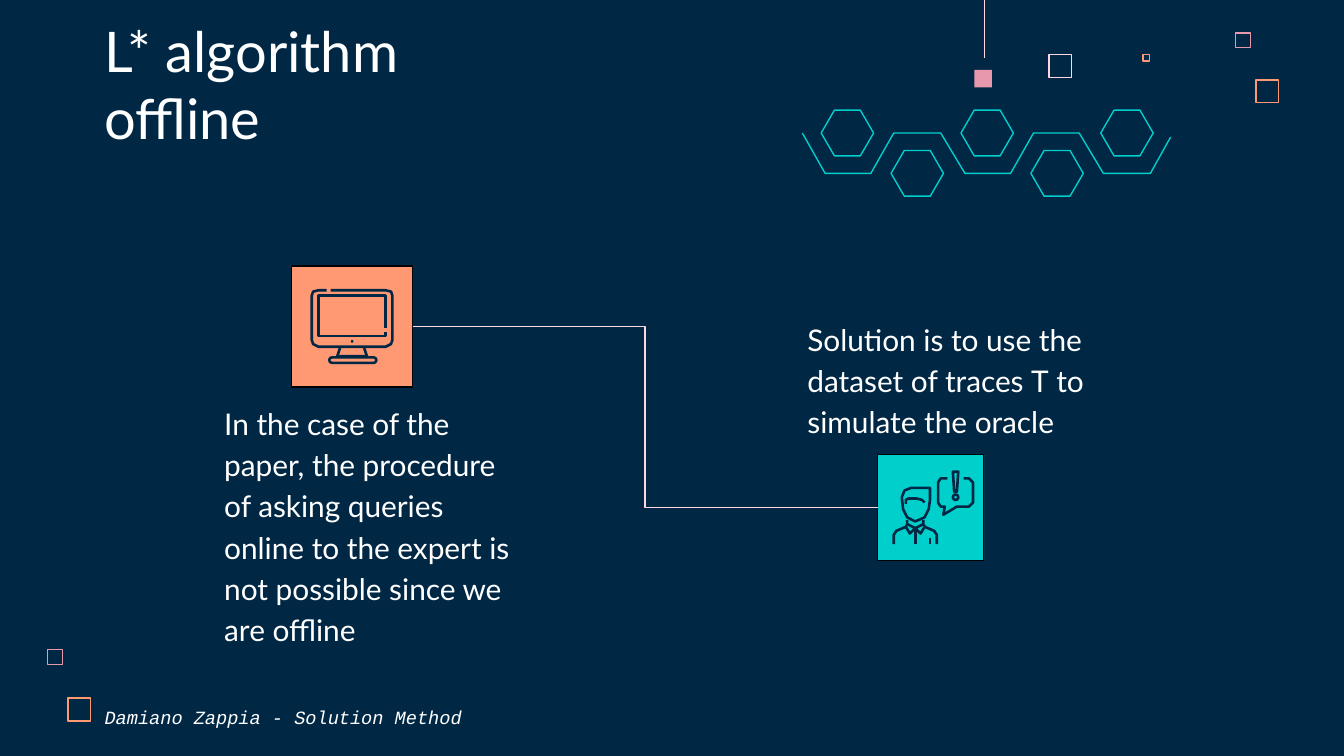
from pptx import Presentation
from pptx.dml.color import RGBColor
from pptx.enum import shapes, text
from pptx.oxml import parse_xml
from pptx.oxml.ns import nsdecls
from pptx.util import Inches, Pt

NAVY = RGBColor(0x00, 0x28, 0x45)
WHITE = RGBColor(0xFF, 0xFF, 0xFF)
BLACK = RGBColor(0x00, 0x00, 0x00)
BLUSH = RGBColor(0xFF, 0xD6, 0xE1)
PINK = RGBColor(0xE8, 0x98, 0xAC)
ORANGE = RGBColor(0xFF, 0x99, 0x73)
TEAL = RGBColor(0x00, 0xCF, 0xCC)
THIN, ICON = 0.75, 1.4  # line widths in points
RECT = shapes.MSO_SHAPE.RECTANGLE
ROUND = shapes.MSO_SHAPE.ROUNDED_RECTANGLE
OVAL = shapes.MSO_SHAPE.OVAL

# Content: words, box, anchor, paragraph format, font
BODY = dict(line_spacing=1.15, space_after=Pt(16))
LATO = dict(name="Lato", size=Pt(16))
TEXTS = [
    ("L* algorithm offline", (0.68, 0.59, 3.58, 0.63), "BOTTOM", {},
     dict(name="Lato", size=Pt(30))),
    ("In the case of the paper, the procedure of asking queries online to "
     "the expert is not possible since we are offline",
     (1.57, 2.88, 2.45, 1.8), "TOP", BODY, LATO),
    ("Solution is to use the dataset of traces Τ to simulate the oracle",
     (5.91, 2.25, 2.47, 1.12), "TOP", BODY, LATO),
    ("Damiano Zappia - Solution Method", (0.68, 5.17, 3.83, 0.25), "TOP", {},
     dict(name="Courier New", size=Pt(10), italic=True)),
]

# Small outlined squares: left, top, side, colour
SQUARES = [
    (7.8, 0.4, 0.18, BLUSH), (9.19, 0.24, 0.12, PINK),
    (8.5, 0.4, 0.06, ORANGE), (9.34, 0.59, 0.18, ORANGE),
    (0.35, 4.83, 0.12, PINK), (0.5, 5.19, 0.18, ORANGE),
]

# Icon strokes: points, closed
MONITOR = [
    ([(2.46, 2.16), (2.87, 2.16), (2.91, 2.17), (2.92, 2.2), (2.92, 2.53),
      (2.91, 2.56), (2.87, 2.58), (2.37, 2.58), (2.33, 2.56), (2.32, 2.53),
      (2.32, 2.2), (2.33, 2.17), (2.37, 2.16), (2.43, 2.16)], False),
    ([(2.87, 2.44), (2.87, 2.2), (2.37, 2.2), (2.37, 2.5), (2.87, 2.5),
      (2.87, 2.47)], False),
    ([(2.53, 2.59), (2.51, 2.65), (2.73, 2.65), (2.71, 2.59)], False),
]
PERSON = [
    ([(6.78, 3.63), (6.92, 3.63), (6.92, 3.72), (6.91, 3.79), (6.88, 3.85),
      (6.81, 3.88), (6.75, 3.85), (6.72, 3.79), (6.71, 3.7), (6.73, 3.65)],
     True),
    ([(6.74, 3.75), (6.74, 3.72), (6.76, 3.71), (6.82, 3.71), (6.86, 3.72),
      (6.88, 3.74)], False),
    ([(7.05, 3.56), (7, 3.56), (6.98, 3.59), (6.98, 3.74), (7, 3.77),
      (7.03, 3.77), (7.02, 3.83), (7.12, 3.77), (7.21, 3.77), (7.24, 3.74),
      (7.24, 3.59), (7.21, 3.56), (7.17, 3.56)], False),
    ([(7.09, 3.51), (7.13, 3.51), (7.12, 3.66), (7.1, 3.66)], True),
]
# Left half of the jacket, mirrored about the zip
ZIP_X = 6.81
JACKET = [
    [(6.65, 4.05), (6.65, 3.98), (6.67, 3.95), (6.74, 3.92)],
    [(6.75, 3.87), (6.75, 3.9), (6.74, 3.92), (6.77, 3.97), (6.81, 3.93),
     (6.75, 3.9)],
]

prs = Presentation()
prs.slide_width = Inches(10)
prs.slide_height = prs.slide_width * 9 // 16
s = prs.slides.add_slide(prs.slide_layouts[6])
s.background.fill.solid()
s.background.fill.fore_color.rgb = NAVY


def paint(sp, fill=None, line=None, width=THIN):
    sp.shadow.inherit = False
    if fill is None:
        sp.fill.background()
    else:
        sp.fill.solid()
        sp.fill.fore_color.rgb = fill
    if line is None:
        sp.line.fill.background()
    else:
        sp.line.color.rgb = line
        sp.line.width = Pt(width)
    return sp


def shape(kind, box, **look):
    return paint(s.shapes.add_shape(kind, *map(Inches, box)), **look)


def stroke(points, closed, color, width):
    emu = [(Inches(x), Inches(y)) for x, y in points]
    fb = s.shapes.build_freeform(*emu[0])
    fb.add_line_segments(emu[1:], close=closed)
    return paint(fb.convert_to_shape(), line=color, width=width)


def connector(kind, ends, color, width=THIN):
    c = s.shapes.add_connector(kind, *map(Inches, ends))
    c.line.color.rgb = color
    c.line.width = Pt(width)
    c._element.spPr.append(parse_xml("<a:effectLst %s/>" % nsdecls("a")))
    return c


# Corner squares and hanging pendant
STRAIGHT = shapes.MSO_CONNECTOR.STRAIGHT
edge = 0.01
for x, y, side, color in SQUARES:
    shape(RECT, (x + edge / 2, y + edge / 2, side - edge, side - edge), line=color)
shape(RECT, (7.25, 0.52, 0.13, 0.13), fill=PINK)
connector(STRAIGHT, (7.32, 0, 7.32, 0.43), BLUSH, 0.25)

# Text
for words, box, anchor, para, font in TEXTS:
    tf = s.shapes.add_textbox(*map(Inches, box)).text_frame
    tf.word_wrap = True
    tf.vertical_anchor = text.MSO_ANCHOR[anchor]
    for side in ("left", "top", "right", "bottom"):
        setattr(tf, "margin_" + side, Inches(0.1))
    p = tf.paragraphs[0]
    r = p.add_run()
    r.text = words
    r.font.color.rgb = WHITE
    for target, values in ((p, para), (r.font, font)):
        for key, value in values.items():
            setattr(target, key, value)

# Icon tiles joined by an elbow
person = shape(RECT, (6.53, 3.38, 0.79, 0.79), fill=TEAL, line=BLACK)
monitor = shape(RECT, (2.17, 1.98, 0.9, 0.9), fill=ORANGE, line=BLACK)
elbow = connector(shapes.MSO_CONNECTOR.ELBOW, (3.07, 2.43, 6.53, 3.77), BLUSH)
elbow.begin_connect(monitor, 3)
elbow.end_connect(person, 1)

# Icons
for points, closed in MONITOR + PERSON:
    stroke(points, closed, NAVY, ICON)
for half in JACKET:
    mirrored = [(2 * ZIP_X - x, y) for x, y in half]
    for points in (half, mirrored):
        stroke(points, False, NAVY, ICON)
for x, top in ((ZIP_X, 3.93), (6.92, 4.0)):
    connector(STRAIGHT, (x, top, x, 4.05), NAVY, ICON)
base = shape(ROUND, (2.45, 2.66, 0.35, 0.04), line=NAVY, width=ICON)
base.adjustments[0] = 0.5
shape(OVAL, (2.61, 2.53, 0.02, 0.02), fill=NAVY)
shape(OVAL, (7.09, 3.68, 0.04, 0.04), line=NAVY, width=ICON)

# Hexagon chain
HIGH, LOW = 0.99, 1.29
for i in range(5):
    mid = LOW if i % 2 else HIGH
    hexagon = shape(shapes.MSO_SHAPE.HEXAGON,
                    (6.11 + 0.52 * i, mid - 0.17, 0.39, 0.34), line=TEAL)
    hexagon.adjustments[0] = 0.29
xs = [5.97, 6.14, 6.48, 6.65, 7, 7.18, 7.52, 7.69, 8.03, 8.21, 8.56]
zigzag = [(x, LOW if i % 4 in (1, 2) else HIGH) for i, x in enumerate(xs)]
stroke(zigzag + [(8.71, 1.02)], False, TEAL, THIN)

prs.save("out.pptx")
